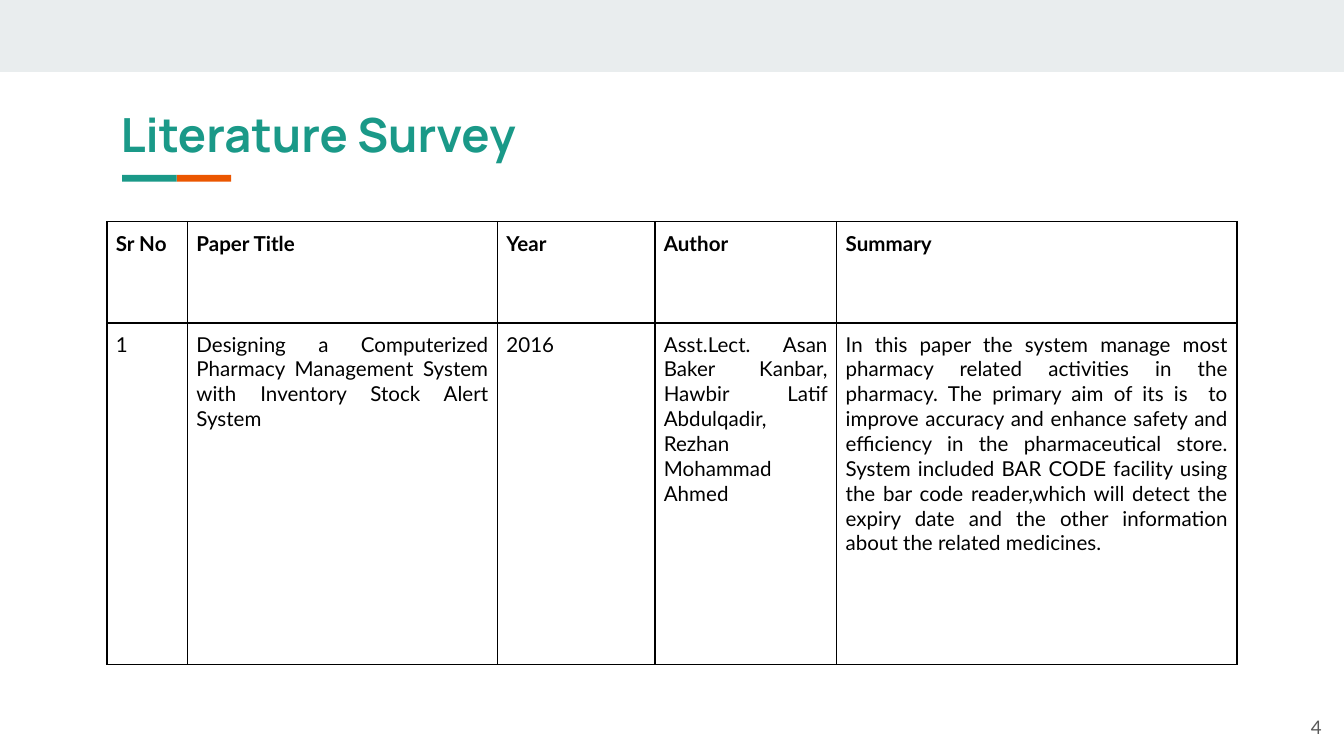
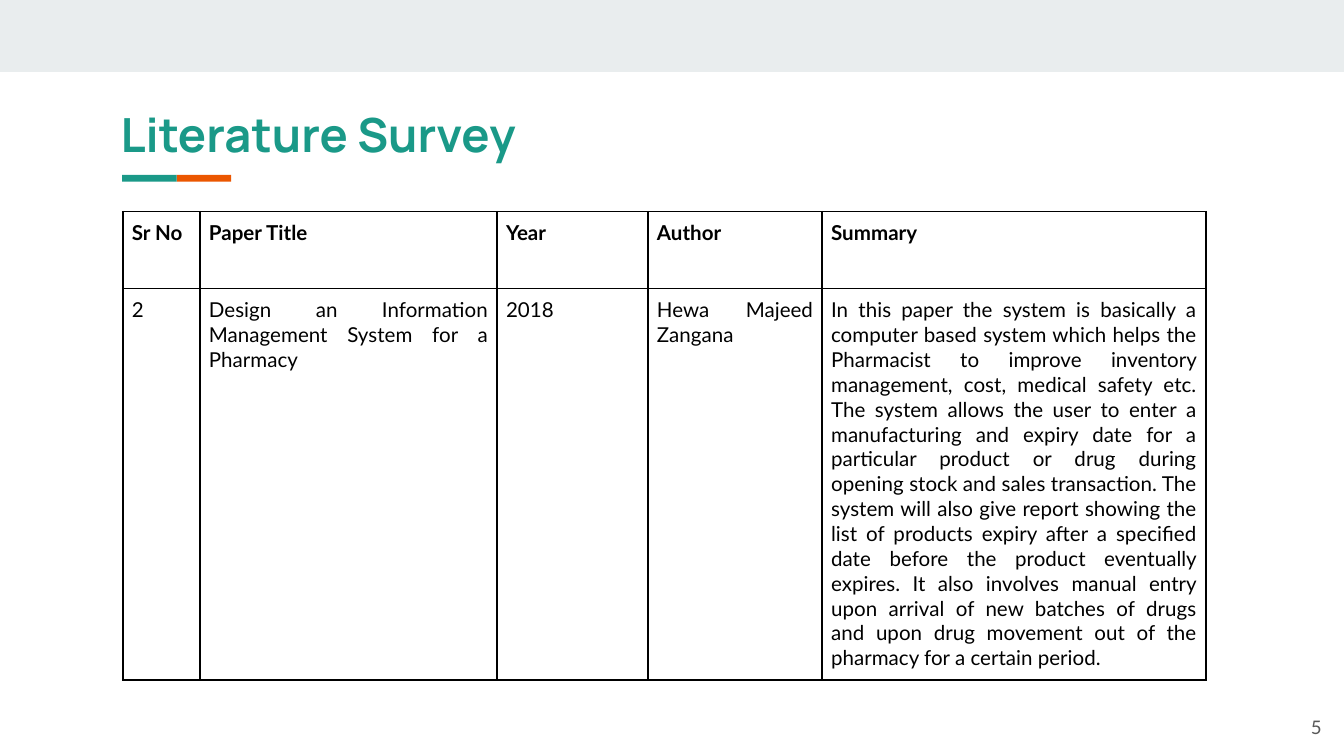
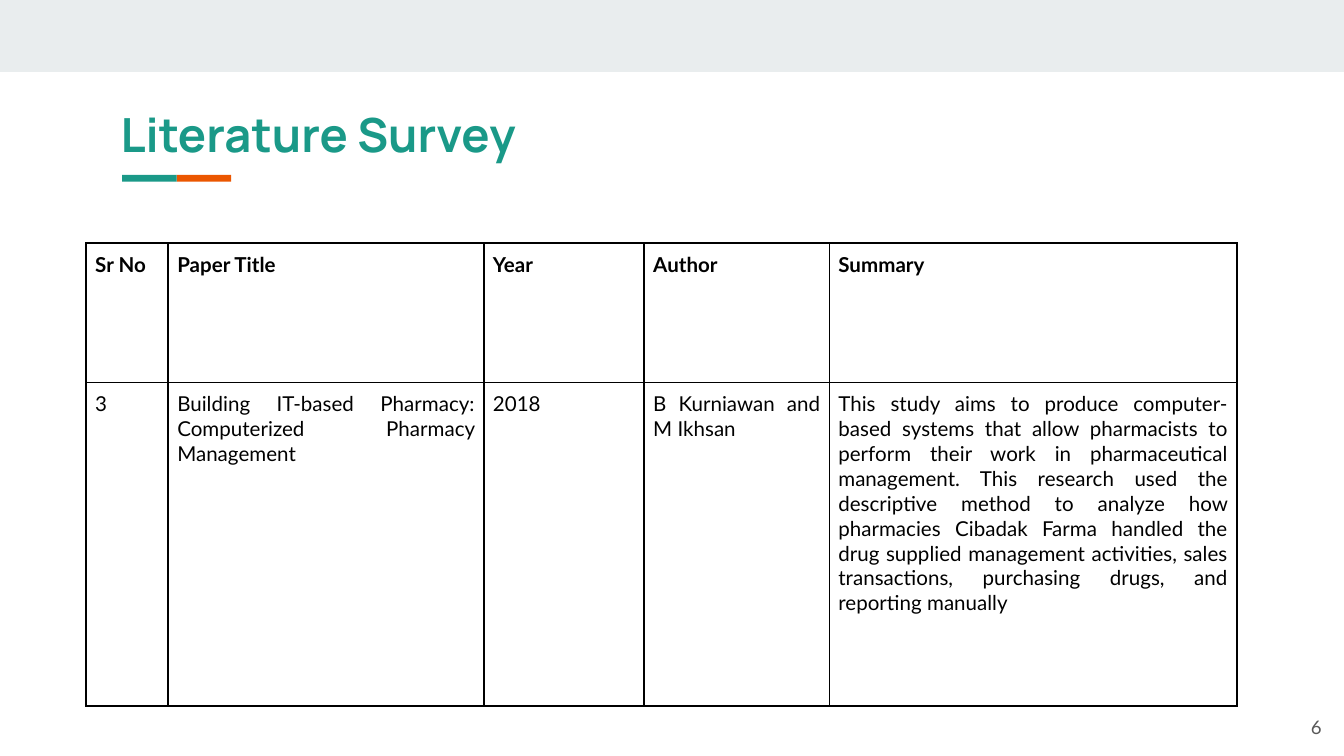
"""Build three literature survey slides, each with one paper in a ruled table."""
from lxml import etree
from pptx import Presentation
from pptx.dml.color import RGBColor
from pptx.enum.shapes import MSO_SHAPE
from pptx.enum.text import MSO_ANCHOR, PP_ALIGN
from pptx.oxml.ns import qn
from pptx.util import Cm, Pt

RECTANGLE = MSO_SHAPE.RECTANGLE
TOP, MIDDLE = MSO_ANCHOR.TOP, MSO_ANCHOR.MIDDLE
LEFT, RIGHT, JUSTIFY = PP_ALIGN.LEFT, PP_ALIGN.RIGHT, PP_ALIGN.JUSTIFY

COLORS = {
    "band": "E9EDEE",
    "teal": "1A9988",
    "orange": "EB5600",
    "text": "000000",
    "page": "595959",
}
BODY_FONT, TITLE_FONT = "Lato", "Manrope"

TITLE = "Literature Survey"
FIRST_PAGE = 4
HEADINGS = ("Sr No", "Paper Title", "Year", "Author", "Summary")
COLUMN_SHARES = (7.13, 27.43, 13.93, 16.09, 35.42)

SURVEYS = [
    {
        "corner": (2.02, 4.19),
        "width": 21.36,
        "row_heights": (1.91, 6.46),
        "paper": (
            "1",
            "Designing a Computerized Pharmacy Management System with Inventory "
            "Stock Alert System",
            "2016",
            "Asst.Lect. Asan Baker Kanbar, Hawbir Latif Abdulqadir, "
            "Rezhan Mohammad Ahmed",
            "In this paper the system manage most pharmacy related activities in "
            "the pharmacy. The primary aim of its is  to improve accuracy and "
            "enhance safety and efficiency in the pharmaceutical store. System "
            "included BAR CODE facility using the bar code reader,which will "
            "detect the expiry date and the other information about the related "
            "medicines.",
        ),
    },
    {
        "corner": (2.32, 4.0),
        "width": 20.47,
        "row_heights": (1.45, 7.4),
        "paper": (
            "2",
            "Design an Information Management System for a Pharmacy",
            "2018",
            "Hewa Majeed Zangana",
            "In this paper the system is basically a computer based system which "
            "helps the Pharmacist to improve inventory management, cost, medical "
            "safety etc. The system allows the user to enter a manufacturing and "
            "expiry date for a particular product or drug during opening stock and "
            "sales transaction. The system will also give report showing the list "
            "of products expiry after a specified date before the product "
            "eventually expires. It also involves manual entry upon arrival of new "
            "batches of drugs and upon drug movement out of the pharmacy for a "
            "certain period.",
        ),
    },
    {
        "corner": (1.63, 4.59),
        "width": 21.75,
        "row_heights": (2.64, 6.12),
        "paper": (
            "3",
            "Building IT-based Pharmacy: Computerized Pharmacy Management",
            "2018",
            "B Kurniawan and M Ikhsan",
            "This study aims to produce computer-based systems that allow "
            "pharmacists to perform their work in pharmaceutical management. This "
            "research used the descriptive method to analyze how pharmacies "
            "Cibadak Farma handled the drug supplied management activities, sales "
            "transactions, purchasing drugs, and reporting manually",
        ),
    },
]


def add_bar(shapes, color, left, top, width, height, rotation=0):
    bar = shapes.add_shape(RECTANGLE, Cm(left), Cm(top), Cm(width), Cm(height))
    bar.rotation = rotation
    bar.shadow.inherit = False
    bar.fill.solid()
    bar.fill.fore_color.rgb = RGBColor.from_string(COLORS[color])
    bar.line.fill.background()


def add_underline(slide):
    underline = slide.shapes.add_group_shape()
    for color, left in (("orange", 4.27), ("teal", 2.8)):
        add_bar(underline.shapes, color, left, 2.03, 0.07, 1.47, rotation=270)
    underline.left, underline.top = Cm(2.8), Cm(2.03)
    underline.width, underline.height = Cm(1.08), Cm(2.68)


def write(frame, text, size, color, font=BODY_FONT, bold=False, align=LEFT):
    frame.text = text
    paragraph = frame.paragraphs[0]
    paragraph.alignment = align
    style = paragraph.runs[0].font
    style.name, style.size, style.bold = font, Pt(size), bold
    style.color.rgb = RGBColor.from_string(COLORS[color])


def set_margins(target, margin):
    target.margin_left = target.margin_right = Cm(margin)
    target.margin_top = target.margin_bottom = Cm(margin)


def add_label(slide, text, left, top, width, height, anchor=TOP, **style):
    box = slide.shapes.add_textbox(Cm(left), Cm(top), Cm(width), Cm(height))
    frame = box.text_frame
    frame.word_wrap = True
    frame.vertical_anchor = anchor
    set_margins(frame, 0.25)
    write(frame, text, **style)


def rule_cell(cell):
    properties = cell._tc.get_or_add_tcPr()
    for position, side in enumerate(("a:lnL", "a:lnR", "a:lnT", "a:lnB")):
        border = etree.Element(qn(side), w=str(Pt(1)))
        fill = etree.SubElement(border, qn("a:solidFill"))
        etree.SubElement(fill, qn("a:srgbClr"), val=COLORS["text"])
        properties.insert(position, border)


def add_survey(slide, survey):
    left, top = survey["corner"]
    width, heights = survey["width"], survey["row_heights"]
    rows = (HEADINGS, survey["paper"])
    table = slide.shapes.add_table(
        len(rows), len(HEADINGS), Cm(left), Cm(top), Cm(width), Cm(sum(heights))
    ).table
    table.first_row = table.horz_banding = False
    for column, share in zip(table.columns, COLUMN_SHARES):
        column.width = Cm(width * share / 100)
    for r, (entries, height) in enumerate(zip(rows, heights)):
        table.rows[r].height = Cm(height)
        for c, entry in enumerate(entries):
            cell = table.cell(r, c)
            cell.fill.background()
            set_margins(cell, 0.17)
            write(cell.text_frame, entry, 11, "text", bold=r == 0, align=JUSTIFY)
            rule_cell(cell)


def add_frame(slide, page):
    add_bar(slide.shapes, "band", 0, 0, 25.4, 1.36)
    add_underline(slide)
    add_label(slide, str(page), 23.71, 13.2, 1.52, 1.09, MIDDLE,
              size=10, color="page", align=RIGHT)
    add_label(slide, TITLE, 2.03, 1.74, 21.36, 1.5,
              size=25.2, color="teal", font=TITLE_FONT, bold=True)


def main():
    deck = Presentation()
    deck.slide_width, deck.slide_height = Cm(25.4), Cm(14.29)
    blank = deck.slide_layouts[6]
    for page, survey in enumerate(SURVEYS, FIRST_PAGE):
        slide = deck.slides.add_slide(blank)
        add_frame(slide, page)
        add_survey(slide, survey)
    deck.save("out.pptx")


if __name__ == "__main__":
    main()
